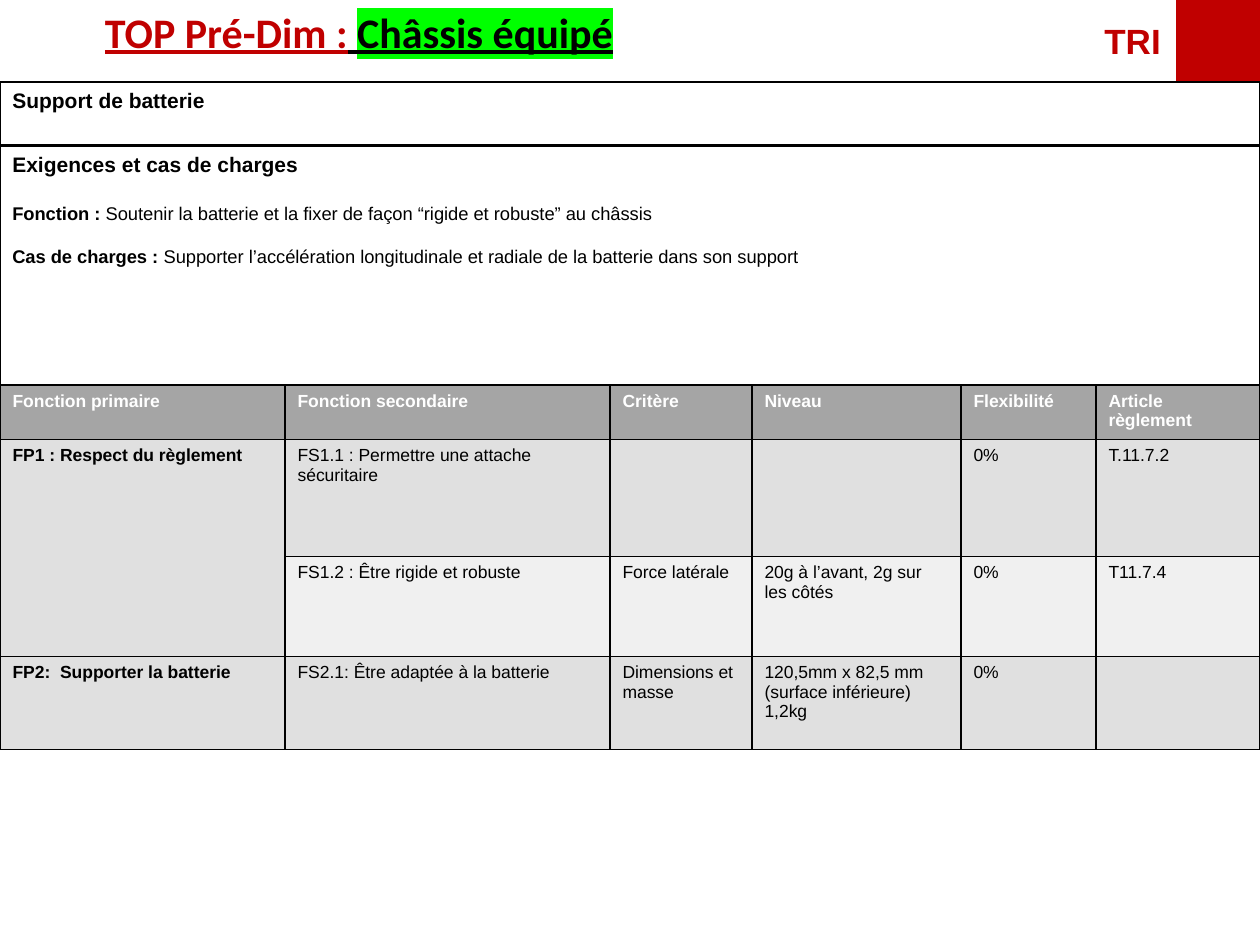
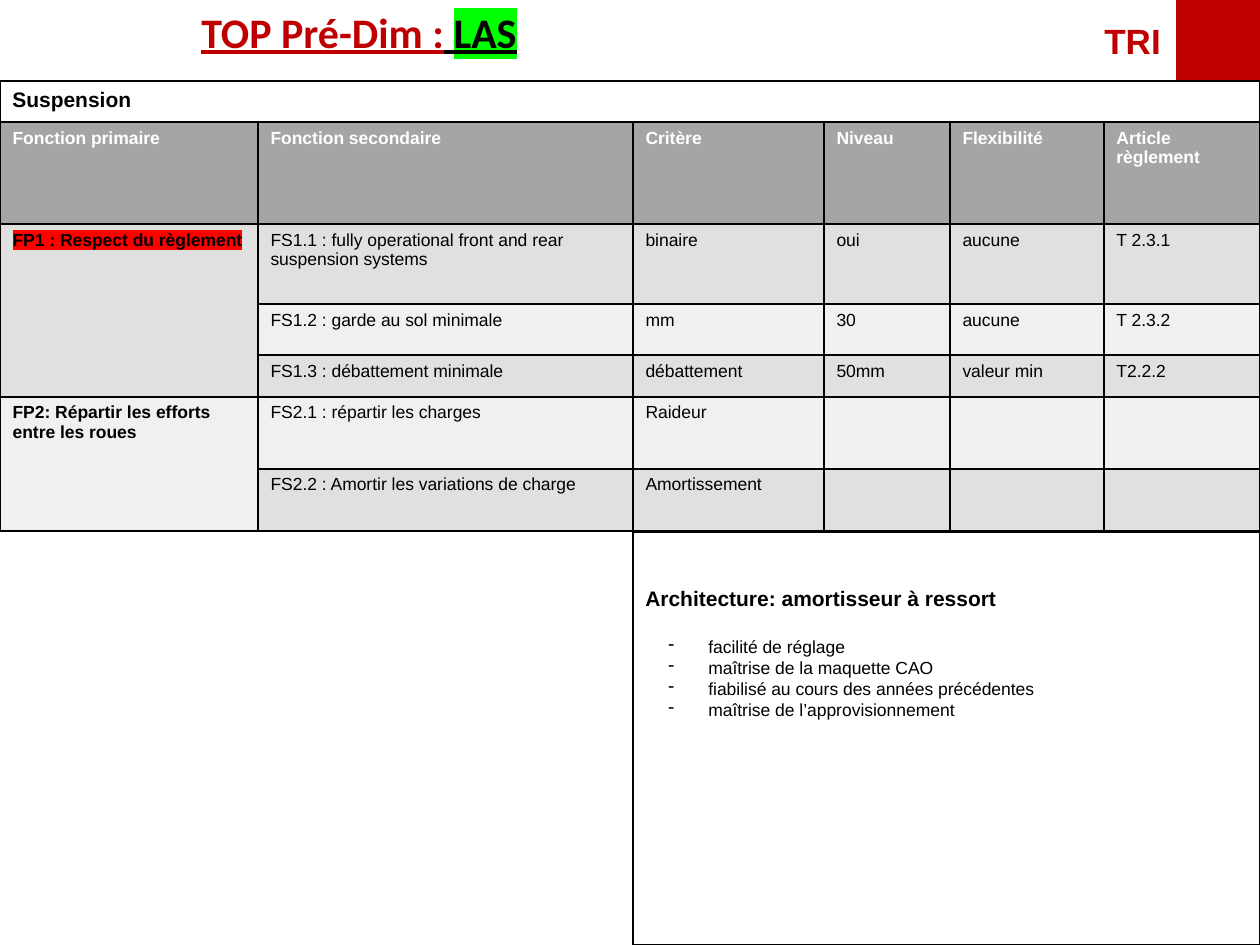
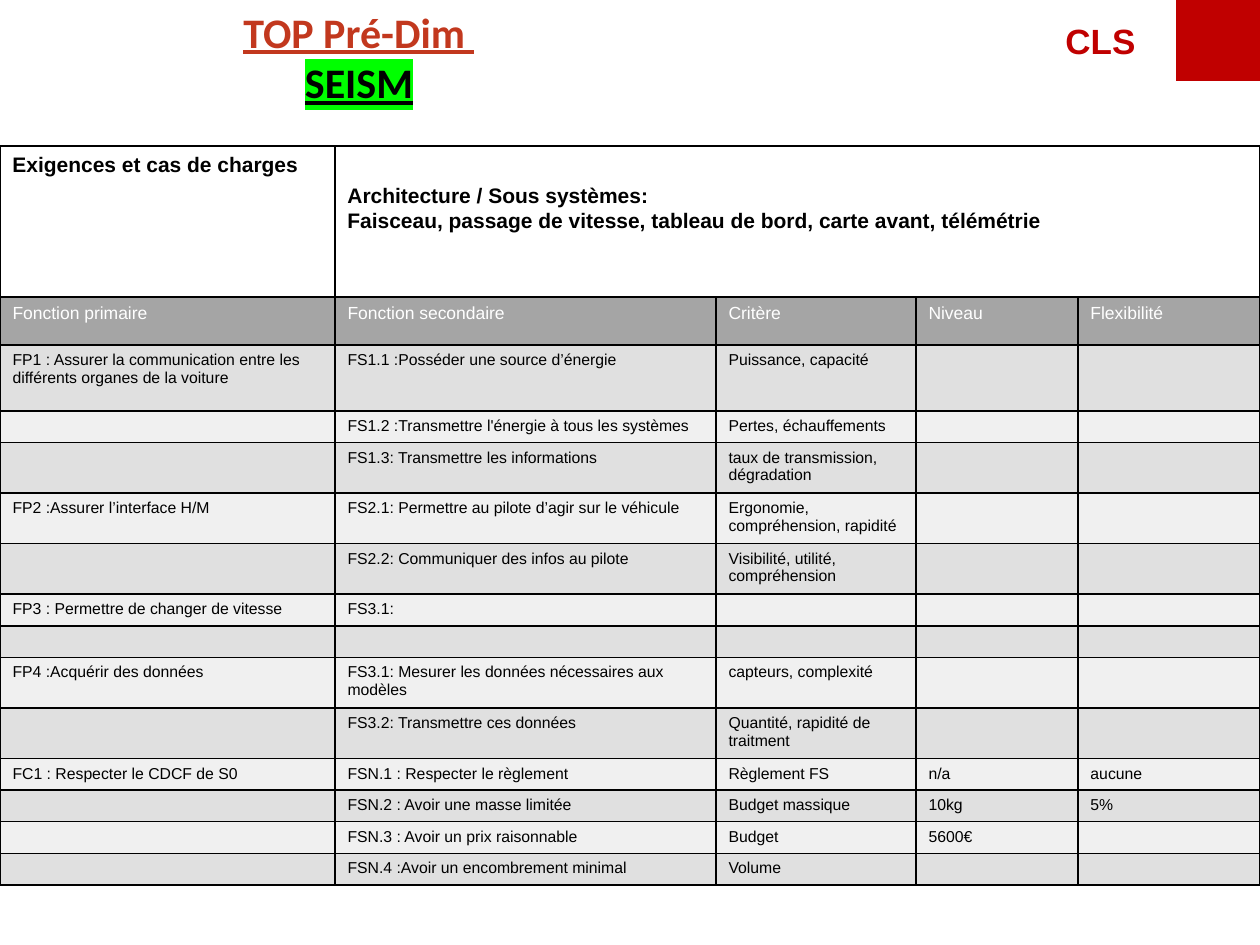
"""Build the three pre-sizing requirement slides of the vehicle project."""
from lxml import etree
from pptx import Presentation
from pptx import util as u
from pptx.dml.color import RGBColor
from pptx.enum import shapes, text
from pptx.oxml import ns

PX = u.Inches(1) / 126
BLACK, WHITE, RED, GREEN = "000000", "FFFFFF", "C00000", "00FF00"
HEADER_GREY, BANDS = "A5A5A5", ("E0E0E0", "F0F0F0")
paint = RGBColor.from_string


def write(frame, paragraphs):
    """Fill a text frame with (spans, style) pairs; spans is text or (text, style) pairs."""
    for index, (spans, style) in enumerate(paragraphs):
        para = frame.add_paragraph() if index else frame.paragraphs[0]
        if style.get("gap"):
            para.space_before = u.Pt(style["gap"])
        if style.get("bullet"):
            props = para._p.get_or_add_pPr()
            props.set("marL", str(round(63 * PX)))
            props.set("indent", str(round(-40 * PX)))
            color = etree.SubElement(props, ns.qn("a:buClr"))
            etree.SubElement(color, ns.qn("a:srgbClr"), val=BLACK)
            etree.SubElement(props, ns.qn("a:buChar"), char="-")
        para.alignment = style.get("align", text.PP_ALIGN.LEFT)
        para.font.size = u.Pt(style["size"])
        para.font.name = style.get("face", "Arial")
        para.font.bold = style.get("bold", False)
        para.font.underline = style.get("underline", False)
        para.font.color.rgb = paint(style.get("hue", BLACK))
        for words, change in [(spans, {})] if isinstance(spans, str) else spans:
            span = para.add_run()
            span.text = words
            if "bold" in change:
                span.font.bold = change["bold"]
            if "hue" in change:
                span.font.color.rgb = paint(change["hue"])
            if "mark" in change:
                mark = etree.SubElement(span._r.get_or_add_rPr(), ns.qn("a:highlight"))
                etree.SubElement(mark, ns.qn("a:srgbClr"), val=change["mark"])


def add_frame(page, place, outline=None, fill=None):
    """Add a rectangle, or a plain text box when it has no outline or fill."""
    place = [round(length * PX) for length in place]
    if outline or fill:
        box = page.shapes.add_shape(shapes.MSO_SHAPE.RECTANGLE, *place)
        box.shadow.inherit = False
        if fill:
            box.fill.solid()
            box.fill.fore_color.rgb = paint(fill)
        else:
            box.fill.background()
        if outline:
            box.line.color.rgb = paint(outline)
            box.line.width = u.Pt(1)
        else:
            box.line.fill.background()
    else:
        box = page.shapes.add_textbox(*place)
    box.text_frame.word_wrap = True
    box.text_frame.vertical_anchor = text.MSO_ANCHOR.TOP
    return box.text_frame


TITLE = dict(size=24, face="Calibri", bold=True, underline=True, hue=RED,
             align=text.PP_ALIGN.CENTER)
HEADING = dict(size=12, bold=True)
BULLET = dict(size=10, bullet=True)
STRONG, LIGHT = {"bold": True}, {}
MARKED = {"hue": BLACK, "mark": GREEN}
COLUMNS = ["Fonction primaire", "Fonction secondaire", "Critère", "Niveau",
           "Flexibilité", "Article règlement"]

PAGES = [
    dict(
        title=[([("TOP Pré-Dim :", {}), (" ", {"hue": BLACK}),
                 ("Châssis équipé", MARKED)], TITLE)],
        tag="TRI", tag_left=1092,
        boxes=[
            dict(place=(0, 82, 1260, 63), lines=[("Support de batterie", HEADING)]),
            dict(place=(0, 146, 1260, 239), lines=[
                ("Exigences et cas de charges", HEADING),
                ([("Fonction : ", STRONG),
                  ("Soutenir la batterie et la fixer de façon “rigide et robuste” au châssis",
                   LIGHT)], dict(size=10.5, gap=14)),
                ([("Cas de charges : ", STRONG),
                  ("Supporter l’accélération longitudinale et radiale de la batterie "
                   "dans son support", LIGHT)], dict(size=10.5, gap=12)),
            ]),
        ],
        top=385, size=10, bold=True,
        widths=(285, 325, 142, 209, 135, 164),
        heights=(52, 117, 100, 93),
        rows=[
            ["FP1 : Respect du règlement", "FS1.1 : Permettre une attache sécuritaire",
             "", "", "0%", "T.11.7.2"],
            [None, "FS1.2 : Être rigide et robuste", "Force latérale",
             "20g à l’avant, 2g sur les côtés", "0%", "T11.7.4"],
            ["FP2:  Supporter la batterie", "FS2.1: Être adaptée à la batterie",
             "Dimensions et masse", "120,5mm x 82,5 mm (surface inférieure)\n1,2kg", "0%", ""],
        ],
    ),
    dict(
        title=[([("TOP Pré-Dim :", {}), (" ", {"hue": BLACK}), ("LAS", MARKED)], TITLE)],
        tag="TRI", tag_left=1092,
        boxes=[
            dict(place=(0, 81, 1260, 41), lines=[("Suspension", HEADING)]),
            dict(place=(633, 532, 627, 413), inset_top=54, lines=[
                ("Architecture: amortisseur à ressort", HEADING),
                ("facilité de réglage", {**BULLET, "gap": 14}),
                ("maîtrise de la maquette CAO", BULLET),
                ("fiabilisé au cours des années précédentes", BULLET),
                ("maîtrise de l’approvisionnement", BULLET),
            ]),
        ],
        top=122, size=10, bold=True,
        widths=(258, 375, 191, 126, 154, 156),
        heights=(102, 80, 51, 42, 72, 62),
        rows=[
            [[("FP1 : Respect du règlement", {"mark": "FF0000"})],
             "FS1.1 : fully operational front and rear suspension systems",
             "binaire", "oui", "aucune", "T 2.3.1"],
            [None, "FS1.2 : garde au sol minimale", "mm", "30", "aucune", "T 2.3.2"],
            [None, "FS1.3 : débattement minimale", "débattement", "50mm", "valeur min", "T2.2.2"],
            ["FP2: Répartir les efforts entre les roues", "FS2.1 : répartir les charges",
             "Raideur", "", "", ""],
            [None, "FS2.2 : Amortir les variations de charge", "Amortissement", "", "", ""],
        ],
    ),
    dict(
        title=[("TOP Pré-Dim ", {**TITLE, "hue": "C2381E"}),
               ([("SEISM", MARKED)], TITLE)],
        tag="CLS", tag_left=1053,
        boxes=[
            dict(place=(0, 146, 335, 151), lines=[("Exigences et cas de charges", HEADING)]),
            dict(place=(335, 146, 925, 151), inset_bottom=34, anchor=text.MSO_ANCHOR.MIDDLE,
                 lines=[
                     ("Architecture / Sous systèmes:", HEADING),
                     ("Faisceau, passage de vitesse, tableau de bord, carte avant, télémétrie",
                      HEADING),
                 ]),
        ],
        top=297, size=9, bold=False,
        widths=(335, 381, 200, 162, 182),
        heights=(48, 66, 30, 48, 48, 48, 30, 31, 48, 48, 30, 30, 31, 30),
        rows=[
            ["FP1 : Assurer la communication entre les différents organes de la voiture",
             "FS1.1 :Posséder une source d’énergie", "Puissance, capacité", "", ""],
            ["", "FS1.2 :Transmettre l'énergie à tous les systèmes",
             "Pertes, échauffements", "", ""],
            ["", "FS1.3: Transmettre les informations",
             "taux de transmission, dégradation", "", ""],
            ["FP2 :Assurer l’interface H/M", "FS2.1: Permettre au pilote d’agir sur le véhicule",
             "Ergonomie, compréhension, rapidité", "", ""],
            ["", "FS2.2: Communiquer des infos au pilote",
             "Visibilité, utilité, compréhension", "", ""],
            ["FP3 : Permettre de changer de vitesse", "FS3.1:", "", "", ""],
            ["", "", "", "", ""],
            ["FP4 :Acquérir des données", "FS3.1: Mesurer les données nécessaires aux modèles",
             "capteurs, complexité", "", ""],
            ["", "FS3.2: Transmettre ces données", "Quantité, rapidité de traitment", "", ""],
            ["FC1 : Respecter le CDCF de S0", "FSN.1 : Respecter le règlement",
             "Règlement FS", "n/a", "aucune"],
            ["", "FSN.2 : Avoir une masse limitée", "Budget massique", "10kg", "5%"],
            ["", "FSN.3 : Avoir un prix raisonnable", "Budget", "5600€", ""],
            ["", "FSN.4 :Avoir un encombrement minimal", "Volume", "", ""],
        ],
    ),
]

deck = Presentation()
deck.slide_width, deck.slide_height = round(1260 * PX), round(945 * PX)

for content in PAGES:
    page = deck.slides.add_slide(deck.slide_layouts[6])
    page.background.fill.solid()
    page.background.fill.fore_color.rgb = paint(WHITE)

    write(add_frame(page, (0, 0, 718, 63 if len(content["title"]) == 1 else 105)),
          content["title"])
    tag_left = content["tag_left"]
    write(add_frame(page, (tag_left, 13, 1176 - tag_left, 55)),
          [(content["tag"], dict(size=20, bold=True, hue=RED))])
    add_frame(page, (1176, 0, 84, 81), fill=RED)

    for box in content["boxes"]:
        frame = add_frame(page, box["place"], outline=BLACK)
        frame.vertical_anchor = box.get("anchor", text.MSO_ANCHOR.TOP)
        frame.margin_top = round(box.get("inset_top", 6) * PX)
        frame.margin_bottom = round(box.get("inset_bottom", 6) * PX)
        write(frame, box["lines"])

    widths, heights = content["widths"], content["heights"]
    table = page.shapes.add_table(
        len(heights), len(widths), 0, round(content["top"] * PX),
        round(sum(widths) * PX), round(sum(heights) * PX)).table
    table.first_row = table.horz_banding = False
    for column, width in zip(table.columns, widths):
        column.width = round(width * PX)
    for row, height in zip(table.rows, heights):
        row.height = round(height * PX)

    for r, values in enumerate([COLUMNS[:len(widths)]] + content["rows"]):
        for c, value in enumerate(values):
            cell = table.cell(r, c)
            props = cell._tc.get_or_add_tcPr()
            for side in ("lnL", "lnR", "lnT", "lnB"):
                edge = etree.SubElement(props, ns.qn("a:" + side), w=str(u.Pt(1)))
                ink = etree.SubElement(edge, ns.qn("a:solidFill"))
                etree.SubElement(ink, ns.qn("a:srgbClr"), val=BLACK)
            cell.fill.solid()
            cell.fill.fore_color.rgb = paint(BANDS[(r - 1) % 2] if r else HEADER_GREY)
            style = dict(size=content["size"] if r else 10,
                         bold=content["bold"] and (r == 0 or c == 0),
                         hue=BLACK if r else WHITE)
            if value:
                lines = value.split("\n") if isinstance(value, str) else [value]
                write(cell.text_frame, [(line, style) for line in lines])
            else:
                cell.text_frame.paragraphs[0].font.size = u.Pt(style["size"])

    starts = [r for r, values in enumerate(content["rows"], 1) if values[0] is not None]
    for start, following in zip(starts, starts[1:] + [len(heights)]):
        if following - start > 1:
            table.cell(start, 0).merge(table.cell(following - 1, 0))

deck.save("out.pptx")
